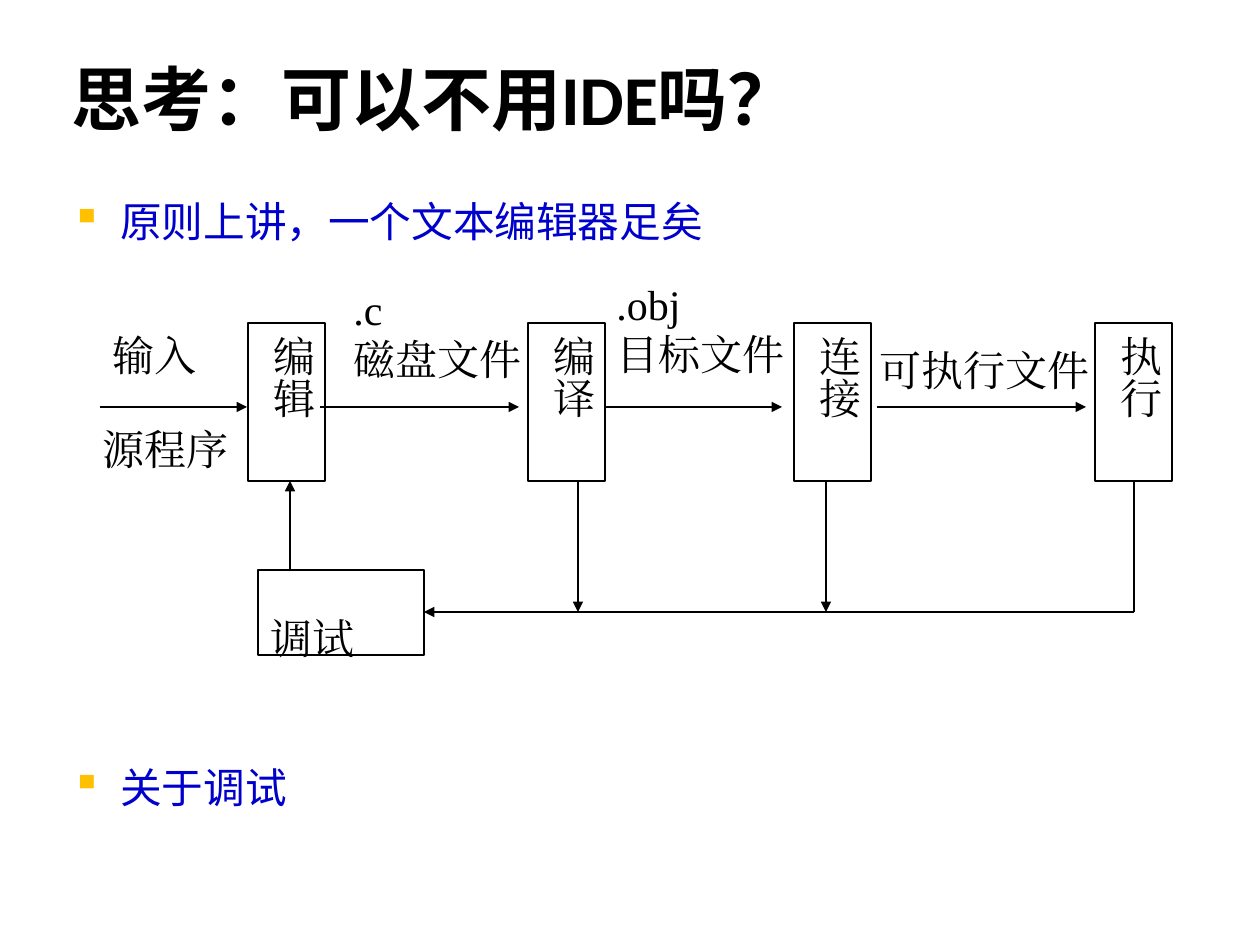
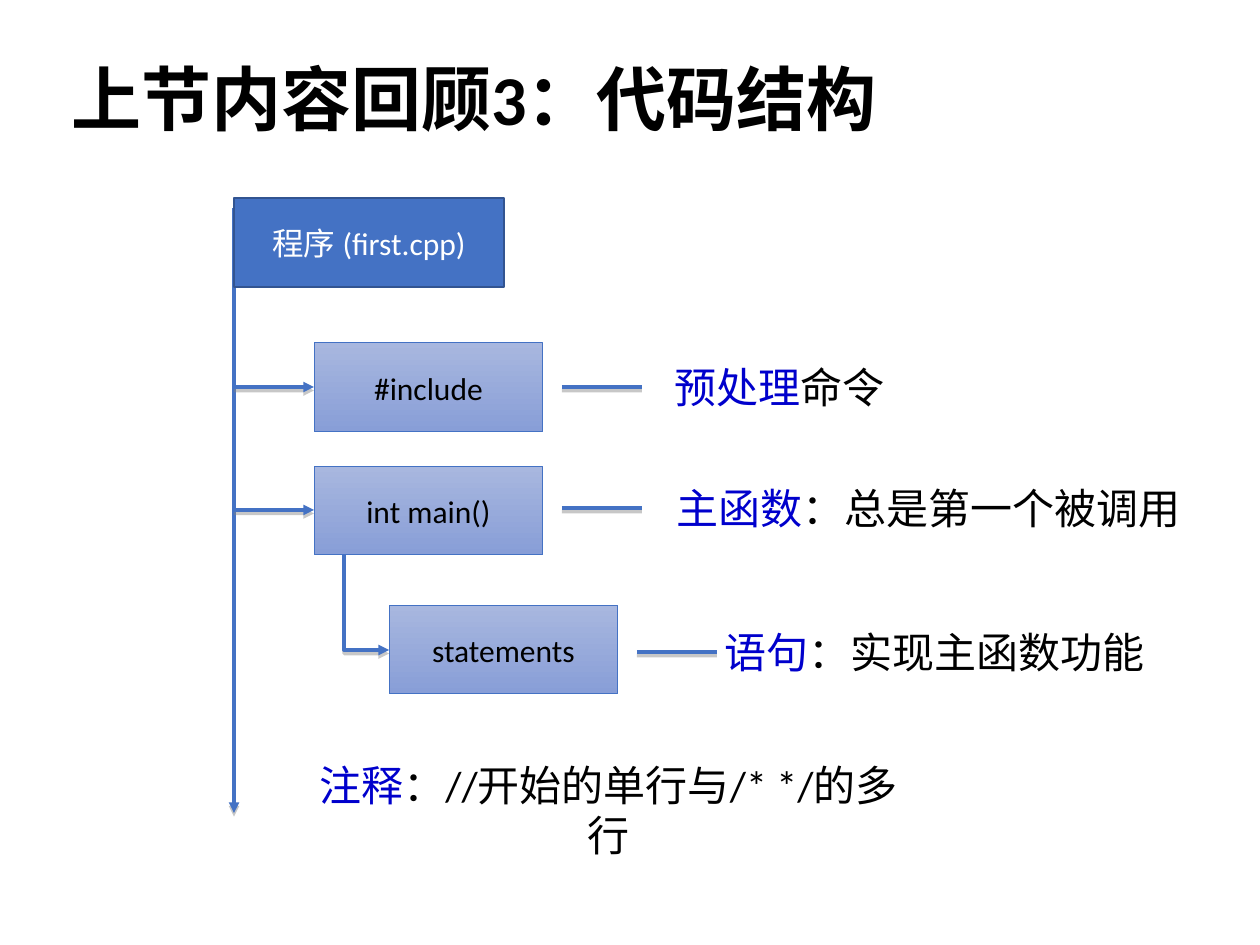
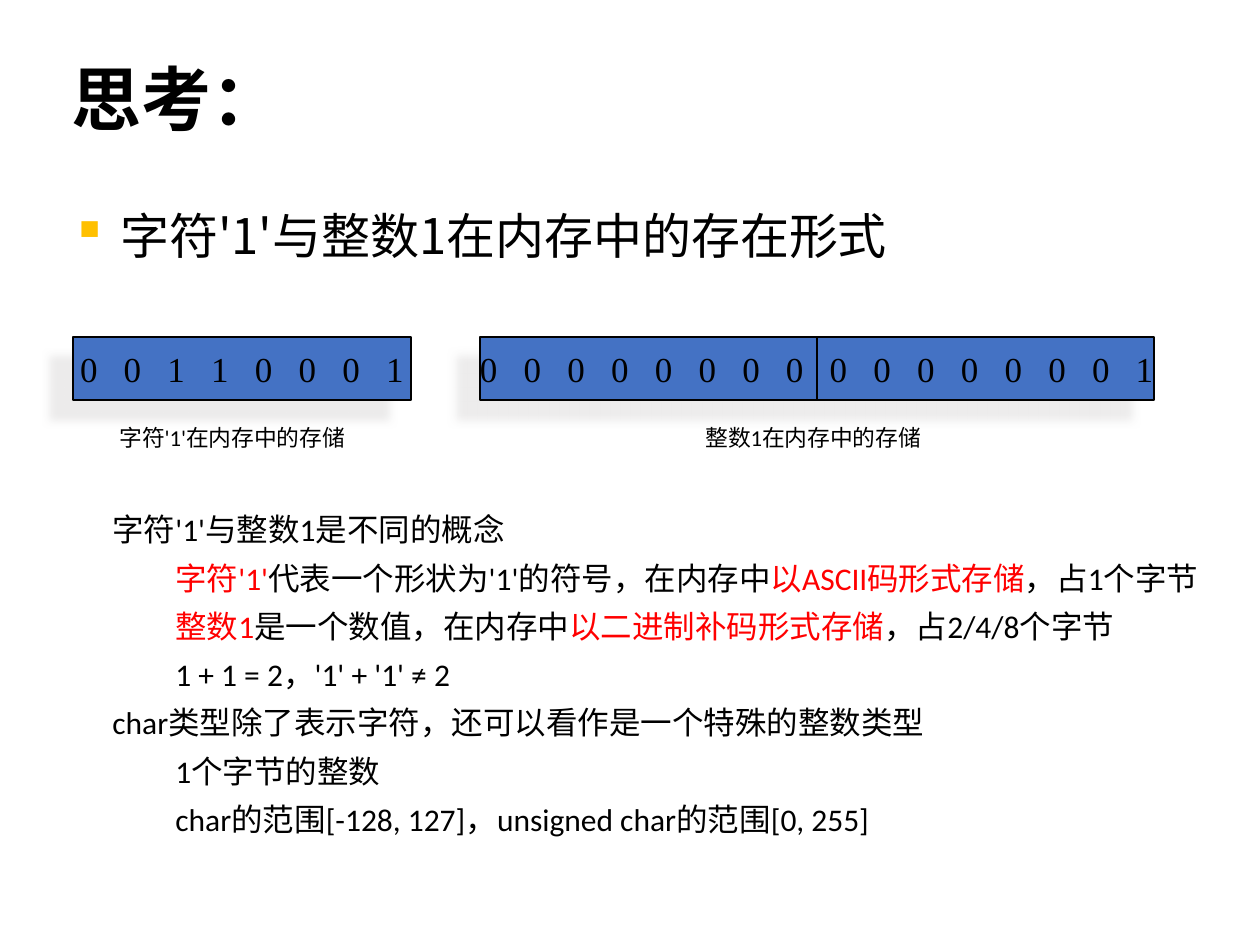
from dataclasses import dataclass
from lxml.etree import SubElement as sub
from pptx import Presentation
from pptx.dml.color import RGBColor as Rgb
from pptx.enum.shapes import MSO_CONNECTOR as Link, MSO_SHAPE as Preset
from pptx.enum.text import MSO_ANCHOR as Anchor, MSO_AUTO_SIZE as Fit, PP_ALIGN as Align
from pptx.oxml.ns import qn
from pptx.util import Emu, Pt


@dataclass(frozen=True)
class Theme:
    black: str = "000000"
    white: str = "FFFFFF"
    blue: str = "0000CC"
    red: str = "FF0000"
    gold: str = "FFC000"
    accent: str = "4472C4"
    accent_edge: str = "325491"
    pale: tuple = ("A8B7DF", "889ED7")
    title: tuple = ("Calibri", 40, True)
    point: tuple = ("Noto Sans CJK SC", 23.8, False)
    question: tuple = ("Noto Sans CJK SC", 28, False)
    label: tuple = ("Times New Roman", 24, False)
    bits: tuple = ("Times New Roman", 20, False)
    remark: tuple = ("Calibri", 24, False)
    text: tuple = ("Calibri", 18, False)
    caption: tuple = ("Calibri", 13, False)
    line_shadow: tuple = ("808080", 43, 0, 2, 90)
    box_shadow: tuple = ("E7E6E6", 75, 5, 17, 140)


THEME = Theme()
PX = 914400 / 126
PAGE = (1260, 945)
TITLE_AREA = (59, 59, 1142, 122)
BODY_AREA = (59, 199, 1142, 649)
INDENT = 49

TOOLCHAIN = {
    "title": "思考：可以不用IDE吗？",
    "points": [("原则上讲，一个文本编辑器足矣", 10), ("关于调试", 301)],
    "steps": [("编辑", 248), ("编译", 528), ("连接", 794), ("执行", 1095)],
    "flows": [(100, 247), (320, 519), (604, 782), (877, 1086)],
    "labels": [
        (["输入"], (100, 323, 116, 63)),
        (["源程序"], (90, 417, 157, 63)),
        ([".c", "磁盘文件"], (341, 277, 210, 115)),
        ([".obj", "目标文件"], (604, 272, 262, 115)),
        (["可执行文件"], (867, 338, 242, 63)),
    ],
    "debug": ("调试", (258, 570, 166, 85)),
}
STEP_TOP, STEP_WIDTH, STEP_HEIGHT = 323, 77, 158
FLOW_Y, RETURN_Y = 407, 612
RETURN_X = {"编译": 578, "连接": 826, "执行": 1134}
EDIT_X = 290

STRUCTURE = {
    "title": "上节内容回顾3：代码结构",
    "root": ("程序 (first.cpp)", (234, 198, 270, 89)),
    "parts": [
        ("#include", 314, 343, 387, ("预处理", "命令"), (661, 355, 238, 64)),
        ("int main()", 314, 466, 508, ("主函数", "：总是第一个被调用"), (661, 476, 534, 64)),
        ("statements", 389, 605, 652, ("语句", "：实现主函数功能"), (709, 620, 450, 64)),
    ],
    "note": (("注释", "：//开始的单行与/* */的多行"), (294, 753, 629, 64)),
}
PART_WIDTH, PART_HEIGHT = 229, 89
TRUNK_X, TRUNK_TOP, TRUNK_END = 234, 208, 813
DASH_GAP, DASH = 19, 80

MEMORY = {
    "title": "思考：",
    "question": "字符'1'与整数1在内存中的存在形式",
    "cells": [("00110001", 73, 338), ("0000000000000001", 480, 674)],
    "captions": [("字符'1'在内存中的存储", 107, 253), ("整数1在内存中的存储", 693, 244)],
    "notes": [
        (1, [("字符'1'与整数1是不同的概念", THEME.black)]),
        (2, [("字符'1'", THEME.red), ("代表一个形状为'1'的符号，在内存中", THEME.black),
             ("以ASCII码形式存储", THEME.red), ("，占1个字节", THEME.black)]),
        (2, [("整数1", THEME.red), ("是一个数值，在内存中", THEME.black),
             ("以二进制补码形式存储", THEME.red), ("，占2/4/8个字节", THEME.black)]),
        (2, [("1 + 1 = 2，'1' + '1' ≠ 2", THEME.black)]),
        (1, [("char类型除了表示字符，还可以看作是一个特殊的整数类型", THEME.black)]),
        (2, [("1个字节的整数", THEME.black)]),
        (2, [("char的范围[-128, 127]，unsigned char的范围[0, 255]", THEME.black)]),
    ],
}
CELL_TOP, CELL_HEIGHT, BYTE_X = 337, 63, 817
CAPTION_TOP, CAPTION_HEIGHT = 418, 40
NOTES_AREA = (37, 504, 1186, 344)


def px(value):
    return Emu(round(value * PX))


def assign(target, formats):
    for name, value in formats.items():
        setattr(target, name, value)


def write(frame, paragraphs, style, color=THEME.black, para_format=None, spacing=0, **frame_format):
    assign(frame, {"word_wrap": True, "auto_size": Fit.NONE,
                   "vertical_anchor": Anchor.TOP, **frame_format})
    name, size, bold = style
    for index, content in enumerate(paragraphs):
        para = frame.paragraphs[0] if index == 0 else frame.add_paragraph()
        assign(para, {"alignment": Align.LEFT, **(para_format or {})})
        spans = [(content, color)] if isinstance(content, str) else content
        for words, ink in spans:
            span = para.add_run()
            span.text = words
            assign(span.font, {"name": name, "size": Pt(size), "bold": bold})
            span.font.color.rgb = Rgb.from_string(ink)
            props = span._r.get_or_add_rPr()
            sub(props, qn("a:ea"), typeface=name)
            if spacing:
                props.set("spc", str(spacing))
    return frame.paragraphs


def indent(para, left, first=0):
    props = para._p.get_or_add_pPr()
    props.set("marL", str(px(left)))
    props.set("indent", str(px(first)))
    return props


def add_bullet(para):
    props = indent(para, INDENT, -INDENT)
    sub(sub(props, qn("a:buClr")), qn("a:srgbClr"), val=THEME.gold)
    sub(props, qn("a:buChar"), char="▪")


def add_shadow(effects, shadow):
    color, alpha, blur, distance, angle = shadow
    outer = sub(effects, qn("a:outerShdw"), blurRad=str(Pt(blur)), dist=str(Pt(distance)),
                dir=str(angle * 60000), algn="ctr", rotWithShape="0")
    tint = sub(outer, qn("a:srgbClr"), val=color)
    sub(tint, qn("a:alpha"), val=str(alpha * 1000))


def add_text(page, area, paragraphs, style, **options):
    box = page.shapes.add_textbox(*map(px, area))
    return write(box.text_frame, paragraphs, style, **options)


def add_box(page, area, fill=None, edge=THEME.black, width=1, shadow=None):
    box = page.shapes.add_shape(Preset.RECTANGLE, *map(px, area))
    box.shadow.inherit = False
    if fill is None:
        box.fill.background()
    elif isinstance(fill, tuple):
        box.fill.gradient()
        box.fill.gradient_angle = 270
        for stop, color in zip(box.fill.gradient_stops, fill):
            stop.color.rgb = Rgb.from_string(color)
    else:
        box.fill.solid()
        box.fill.fore_color.rgb = Rgb.from_string(fill)
    box.line.color.rgb = Rgb.from_string(edge)
    box.line.width = Pt(width)
    if shadow:
        add_shadow(box._element.spPr.find(qn("a:effectLst")), shadow)
    return box


def add_line(page, start, end, arrow=True, color=THEME.black, width=1, shadow=None, kind=Link.STRAIGHT):
    line = page.shapes.add_connector(kind, *map(px, (*start, *end)))
    line.line.color.rgb = Rgb.from_string(color)
    line.line.width = Pt(width)
    props = line._element.spPr
    if arrow:
        sub(props.find(qn("a:ln")), qn("a:tailEnd"), type="triangle")
    effects = sub(props, qn("a:effectLst"))
    if shadow:
        add_shadow(effects, shadow)
    return line


def add_page(deck, title):
    page = deck.slides.add_slide(deck.slide_layouts[5])
    box = page.shapes.title
    assign(box, dict(zip(("left", "top", "width", "height"), map(px, TITLE_AREA))))
    write(box.text_frame, [title], THEME.title, para_format={"line_spacing": 0.9})
    return page


def build_toolchain(deck):
    page = add_page(deck, TOOLCHAIN["title"])
    words = [text for text, _ in TOOLCHAIN["points"]]
    points = add_text(page, BODY_AREA, words, THEME.point, color=THEME.blue,
                      para_format={"line_spacing": 0.8})
    for para, (_, before) in zip(points, TOOLCHAIN["points"]):
        para.space_before = Pt(before)
        add_bullet(para)
    for name, left in TOOLCHAIN["steps"]:
        box = add_box(page, (left, STEP_TOP, STEP_WIDTH, STEP_HEIGHT))
        write(box.text_frame, [name], THEME.label)
        box.text_frame._txBody.bodyPr.set("vert", "eaVert")
    for start, end in TOOLCHAIN["flows"]:
        add_line(page, (start, FLOW_Y), (end, FLOW_Y))
    for lines, area in TOOLCHAIN["labels"]:
        add_text(page, area, lines, THEME.label)
    name, area = TOOLCHAIN["debug"]
    box = add_box(page, area)
    write(box.text_frame, [name], THEME.label, margin_top=px(42), margin_bottom=0)
    step_bottom = STEP_TOP + STEP_HEIGHT
    for step, x in RETURN_X.items():
        add_line(page, (x, step_bottom), (x, RETURN_Y), arrow=step != "执行")
    add_line(page, (RETURN_X["执行"], RETURN_Y), (area[0] + area[2], RETURN_Y))
    add_line(page, (EDIT_X, area[1]), (EDIT_X, step_bottom))


def build_structure(deck):
    page = add_page(deck, STRUCTURE["title"])
    stroke = {"color": THEME.accent, "width": 2, "shadow": THEME.line_shadow}
    centred = {"para_format": {"alignment": Align.CENTER}}
    add_line(page, (TRUNK_X, TRUNK_TOP), (TRUNK_X, TRUNK_END), **stroke)
    name, area = STRUCTURE["root"]
    root = add_box(page, area, THEME.accent, THEME.accent_edge)
    write(root.text_frame, [name], THEME.text, THEME.white, vertical_anchor=Anchor.MIDDLE, **centred)
    remarks = [STRUCTURE["note"]]
    for name, left, top, dash_y, remark, area in STRUCTURE["parts"]:
        box = add_box(page, (left, top, PART_WIDTH, PART_HEIGHT), THEME.pale, THEME.accent, 0.5)
        write(box.text_frame, [name], THEME.text, vertical_anchor=Anchor.MIDDLE, **centred)
        dash_x = left + PART_WIDTH + DASH_GAP
        add_line(page, (dash_x, dash_y), (dash_x + DASH, dash_y), arrow=False, **stroke)
        if name != "statements":
            middle = top + PART_HEIGHT // 2
            add_line(page, (TRUNK_X, middle), (left, middle), **stroke)
        remarks.append((remark, area))
    elbow = add_line(page, (319, 580), (414, 625), kind=Link.ELBOW, **stroke)
    props = elbow._element.spPr
    props.find(qn("a:prstGeom")).set("prst", "bentConnector2")
    for key, value in {"rot": "16200000", "flipH": "1"}.items():
        props.find(qn("a:xfrm")).set(key, value)
    for (term, rest), area in remarks:
        add_text(page, area, [[(term, THEME.blue), (rest, THEME.black)]], THEME.remark, **centred)


def build_memory(deck):
    page = add_page(deck, MEMORY["title"])
    add_bullet(add_text(page, BODY_AREA, [MEMORY["question"]], THEME.question)[0])
    paras = add_text(page, NOTES_AREA, [spans for _, spans in MEMORY["notes"]], THEME.text,
                     para_format={"space_before": Pt(6)})
    for para, (level, _) in zip(paras, MEMORY["notes"]):
        indent(para, 63 * level)
    for bits, left, width in MEMORY["cells"]:
        box = add_box(page, (left, CELL_TOP, width, CELL_HEIGHT), THEME.accent,
                      width=0.75, shadow=THEME.box_shadow)
        write(box.text_frame, [" ".join(bits)], THEME.bits, spacing=500, word_wrap=False,
              vertical_anchor=Anchor.MIDDLE, para_format={"alignment": Align.CENTER})
    add_line(page, (BYTE_X, CELL_TOP), (BYTE_X, CELL_TOP + CELL_HEIGHT), arrow=False)
    for words, left, width in MEMORY["captions"]:
        add_text(page, (left, CAPTION_TOP, width, CAPTION_HEIGHT), [words], THEME.caption)


def main():
    deck = Presentation()
    deck.slide_width, deck.slide_height = map(px, PAGE)
    for build in (build_toolchain, build_structure, build_memory):
        build(deck)
    deck.save("out.pptx")


if __name__ == "__main__":
    main()
